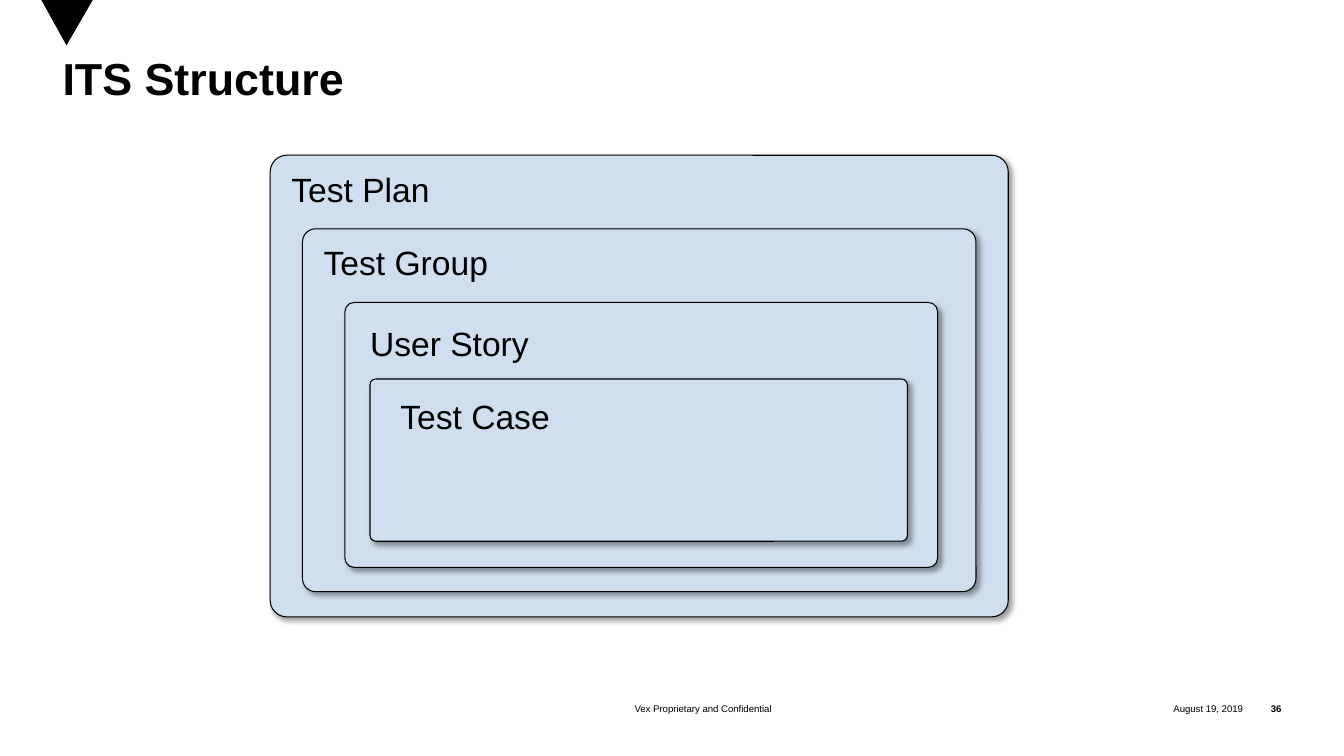
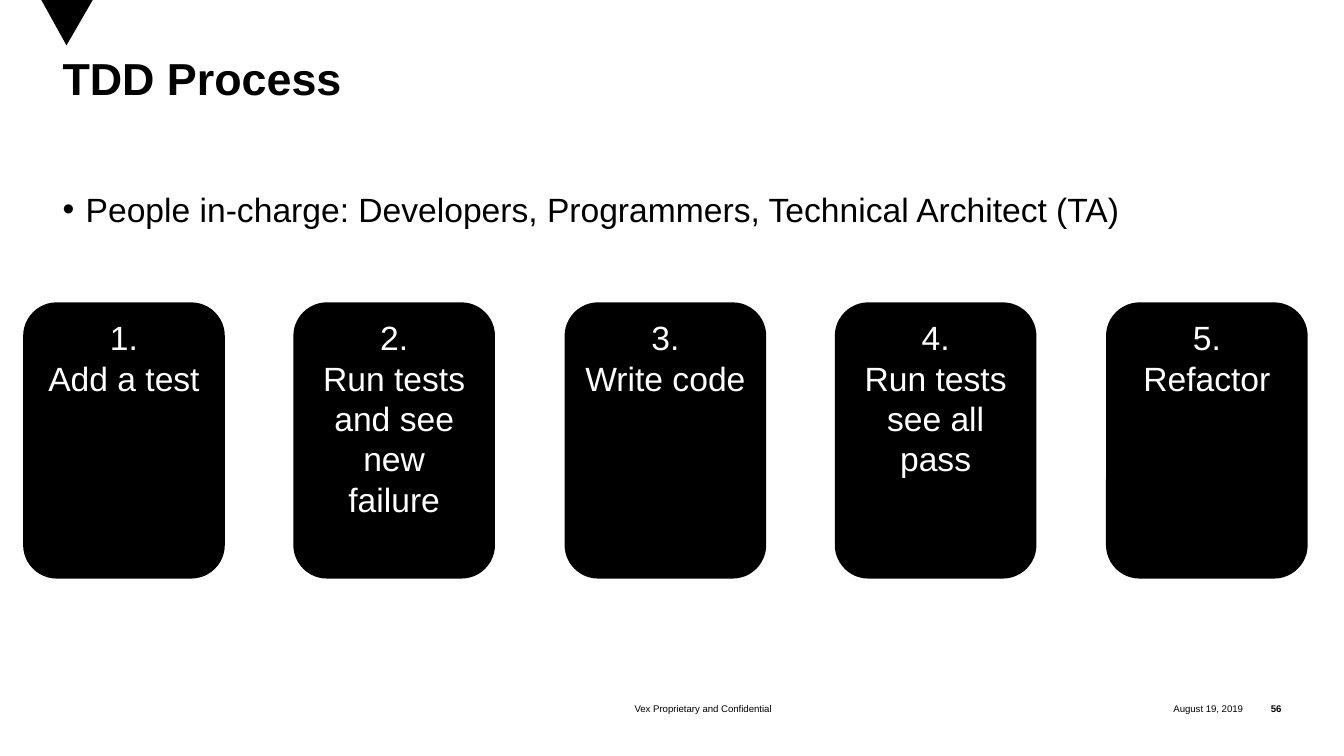
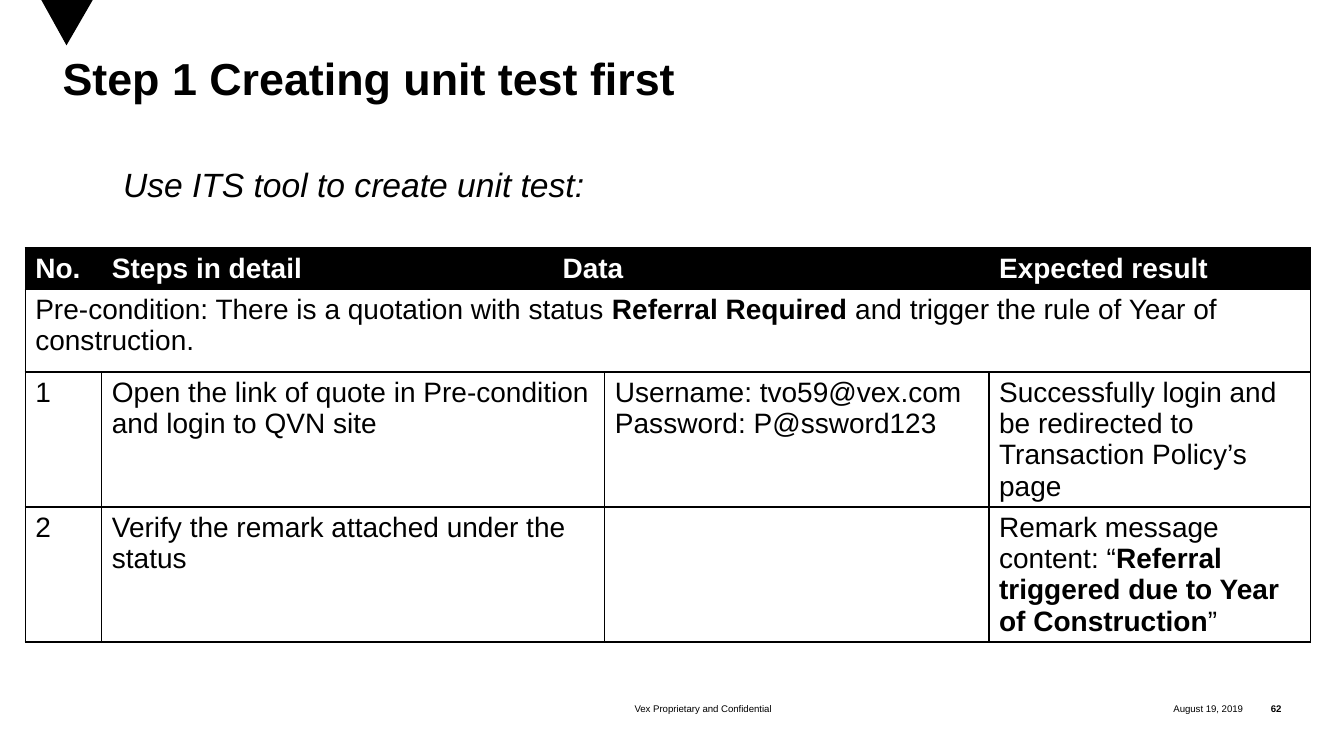
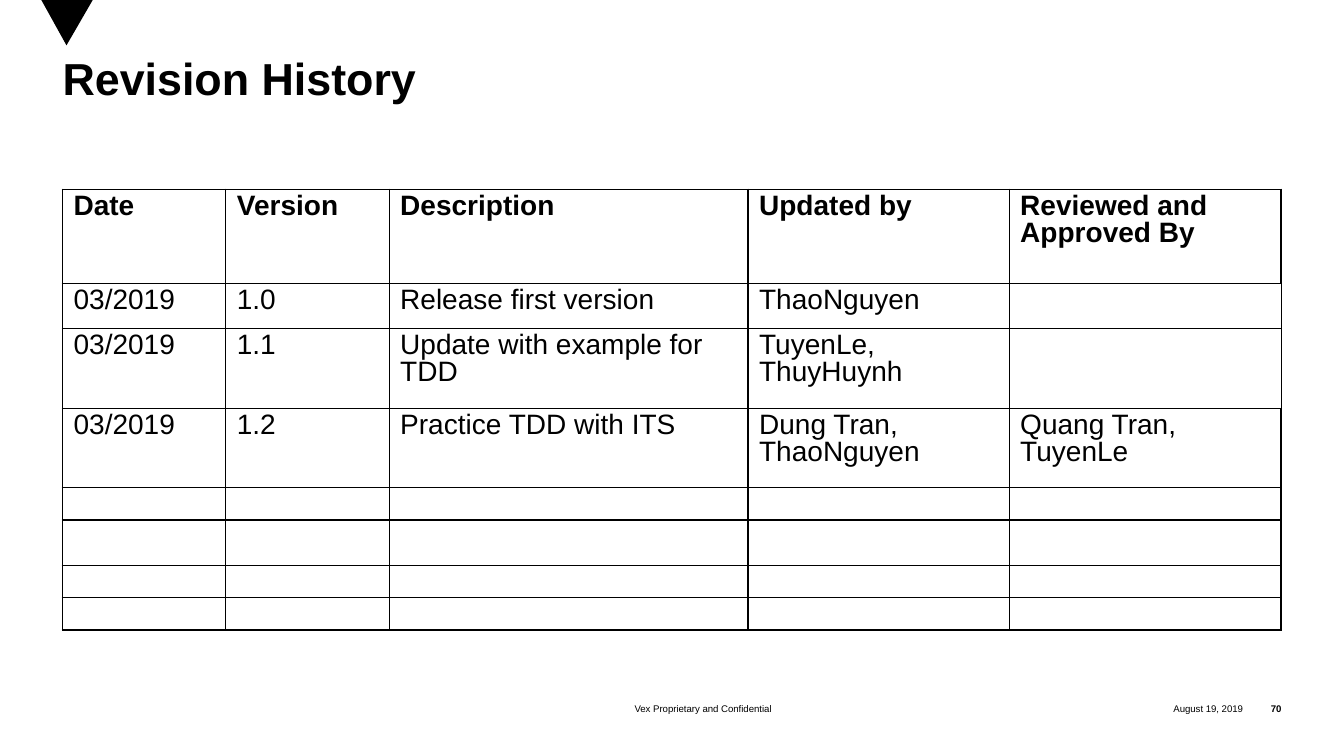
"""Build four slides on test structure, the TDD process, a unit test and revisions."""
from lxml import etree
from pptx import Presentation
from pptx import util as u
from pptx.dml.color import RGBColor
from pptx.enum import shapes, text
from pptx.oxml.ns import qn

PX = 9144
BLACK, WHITE, PALE = "000000", "FFFFFF", "D0DFEF"
LEFT, CENTER, RIGHT = text.PP_ALIGN.LEFT, text.PP_ALIGN.CENTER, text.PP_ALIGN.RIGHT
TOP, MIDDLE = text.MSO_ANCHOR.TOP, text.MSO_ANCHOR.MIDDLE
rgb = RGBColor.from_string


def px(*lengths):
    return [u.Emu(length * PX) for length in lengths]


def write(frame, copy, size, colour=BLACK, bold=False, italic=False, align=LEFT,
          anchor=TOP, spacing=1.0, margins=(0, 0)):
    across, down = px(*margins)
    frame_format = {"margin_left": across, "margin_right": across, "margin_top": down,
                    "margin_bottom": down, "vertical_anchor": anchor, "word_wrap": True,
                    "auto_size": text.MSO_AUTO_SIZE.NONE}
    para_format = {"alignment": align, "line_spacing": spacing, "space_before": u.Pt(0)}
    for name, value in frame_format.items():
        setattr(frame, name, value)
    for number, line in enumerate(copy.split("\n")):
        para = frame.add_paragraph() if number else frame.paragraphs[0]
        for name, value in para_format.items():
            setattr(para, name, value)
        for part, words in enumerate(line.split("**")):
            span = para.add_run()
            span.text = words
            span_format = {"name": "Arial", "size": u.Pt(size), "italic": italic,
                           "bold": bold or part % 2 == 1}
            for name, value in span_format.items():
                setattr(span.font, name, value)
            span.font.color.rgb = rgb(colour)


deck = Presentation()
deck.slide_width, deck.slide_height = px(1333, 750)

pages = []
for title, number, layout in [
    ("ITS Structure", "36", 5),
    ("TDD Process", "56", 1),
    ("Step 1 Creating unit test first", "62", 5),
    ("Revision History", "70", 5),
]:
    page = deck.slides.add_slide(deck.slide_layouts[layout])
    heading = page.shapes.title
    heading.left, heading.top, heading.width, heading.height = px(62, 58, 1208, 129)
    write(heading.text_frame, title, 32, bold=True, spacing=0.85)
    outline = page.shapes.build_freeform(41, 0, scale=PX)
    outline.add_line_segments([(66, 45), (92, 0)], close=True)
    marker = outline.convert_to_shape()
    marker.shadow.inherit = False
    marker.fill.solid()
    marker.fill.fore_color.rgb = rgb(BLACK)
    marker.line.fill.background()
    for place, words, bold, align in [
        ((1084, 691, 149, 25), "August 19, 2019", False, RIGHT),
        ((1233, 691, 38, 25), number, True, RIGHT),
        ((489, 691, 417, 25), "Vex Proprietary and Confidential", False, CENTER),
    ]:
        footer = page.shapes.add_textbox(*px(*place))
        write(footer.text_frame, words, 6.9, bold=bold, align=align, anchor=MIDDLE)
    pages.append(page)
structure, process, unit_test, history = pages

for name, level, label in [
    ("Test Plan", (268, 154, 732, 458), (289, 154, 167, 73)),
    ("Test Group", (300, 227, 668, 360), (321, 227, 167, 73)),
    ("User Story", (342, 300, 588, 263), (367, 311, 175, 65)),
    ("Test Case", (367, 376, 533, 161), (397, 383, 175, 65)),
]:
    box = structure.shapes.add_shape(shapes.MSO_SHAPE.ROUNDED_RECTANGLE, *px(*level))
    box.adjustments[0] = 0.036
    box.fill.solid()
    box.fill.fore_color.rgb = rgb(PALE)
    box.line.color.rgb = rgb(BLACK)
    box.line.width = u.Pt(0.75)
    box.shadow.inherit = False
    effects = box.element.spPr.find(qn("a:effectLst"))
    shadow = etree.SubElement(effects, qn("a:outerShdw"), blurRad=str(u.Pt(4)),
                              dist=str(u.Pt(3)), dir="2700000", algn="tl", rotWithShape="0")
    tint = etree.SubElement(shadow, qn("a:srgbClr"), val=BLACK)
    etree.SubElement(tint, qn("a:alpha"), val="40000")
    caption = structure.shapes.add_textbox(*px(*label))
    write(caption.text_frame, name, 24, anchor=MIDDLE, spacing=0.85)

people = process.placeholders[1]
people.left, people.top, people.width, people.height = px(62, 187, 1179, 112)
write(people.text_frame,
      "People in-charge: Developers, Programmers, Technical Architect (TA)", 24)
tool = unit_test.shapes.add_textbox(*px(75, 163, 1175, 83))
write(tool.text_frame, "Use ITS tool to create unit test:", 24, italic=True)
for box, margin, indent in [(people, 23, -23), (tool, 47, 0)]:
    properties = box.text_frame.paragraphs[0]._p.get_or_add_pPr()
    properties.set("marL", str(margin * PX))
    properties.set("indent", str(indent * PX))

steps = ["Add a test", "Run tests and see new failure", "Write code",
         "Run tests see all pass", "Refactor"]
for index, step in enumerate(steps):
    card = process.shapes.add_shape(shapes.MSO_SHAPE.ROUNDED_RECTANGLE,
                                    *px(23 + index * 537 // 2, 300, 200, 274))
    card.shadow.inherit = False
    card.fill.solid()
    card.fill.fore_color.rgb = rgb(BLACK)
    card.line.fill.background()
    write(card.text_frame, f"{index + 1}.\n{step}", 24, WHITE, align=CENTER, margins=(10, 5))

test_rows = [
    ["No.", "Steps in detail", "Data", "", "Expected result"],
    ["Pre-condition: There is a quotation with status **Referral Required** and trigger "
     "the rule of Year of construction.", "", "", "", ""],
    ["1", "Open the link of quote in Pre-condition and login to QVN site", "",
     "Username: tvo59@vex.com\nPassword: P@ssword123",
     "Successfully login and be redirected to Transaction Policy’s page"],
    ["2", "Verify the remark attached under the status", "", "",
     "Remark message content: “**Referral triggered due to Year of Construction**”"],
]
history_rows = [
    ["Date", "Version", "Description", "Updated by", "Reviewed and Approved By"],
    ["03/2019", "1.0", "Release first version", "ThaoNguyen", ""],
    ["03/2019", "1.1", "Update with example for TDD", "TuyenLe, ThuyHuynh", ""],
    ["03/2019", "1.2", "Practice TDD with ITS", "Dung Tran, ThaoNguyen", "Quang Tran, TuyenLe"],
] + [[""] * 5] * 4
for page, corner, widths, heights, rows, merges, head_fill, head_colour, edge, spacing, inset in [
    (unit_test, (25, 246), (76, 447, 52, 381, 319), (41, 82, 134, 134), test_rows,
     [(0, 2, 3), (1, 0, 4), (2, 1, 2), (3, 1, 2)], BLACK, WHITE, 1, 1.0, 10),
    (history, (62, 188), (162, 162, 356, 259, 270), (93, 45, 79, 79, 32, 45, 32, 32),
     history_rows, [], None, BLACK, 1.5, 0.85, 11),
]:
    table = page.shapes.add_table(len(rows), len(widths),
                                  *px(*corner, sum(widths), sum(heights))).table
    table.first_row = table.horz_banding = False
    for column, width in zip(table.columns, px(*widths)):
        column.width = width
    for row, height in zip(table.rows, px(*heights)):
        row.height = height
    for r, values in enumerate(rows):
        for c, value in enumerate(values):
            cell = table.cell(r, c)
            borders = {"a:lnL": edge if c == 0 else 1,
                       "a:lnR": edge if c == len(widths) - 1 and r not in (1, 2) else 1,
                       "a:lnT": edge if r == 0 else 1,
                       "a:lnB": edge if r == len(rows) - 1 else 1}
            for side, weight in borders.items():
                line = etree.SubElement(cell._tc.get_or_add_tcPr(), qn(side),
                                        w=str(u.Pt(weight)))
                paint = etree.SubElement(line, qn("a:solidFill"))
                etree.SubElement(paint, qn("a:srgbClr"), val=BLACK)
            if r == 0 and head_fill:
                cell.fill.solid()
                cell.fill.fore_color.rgb = rgb(head_fill)
            else:
                cell.fill.background()
            cell.margin_left = cell.margin_right = u.Emu(inset * PX)
            cell.margin_top = cell.margin_bottom = u.Emu(5 * PX)
            if value:
                write(cell.text_frame, value, 20, head_colour if r == 0 else BLACK,
                      bold=r == 0, spacing=spacing, margins=(inset, 5))
            else:
                etree.SubElement(cell.text_frame.paragraphs[0]._p, qn("a:endParaRPr"), sz="1200")
    for r, first, last in merges:
        table.cell(r, first).merge(table.cell(r, last))

deck.save("out.pptx")
